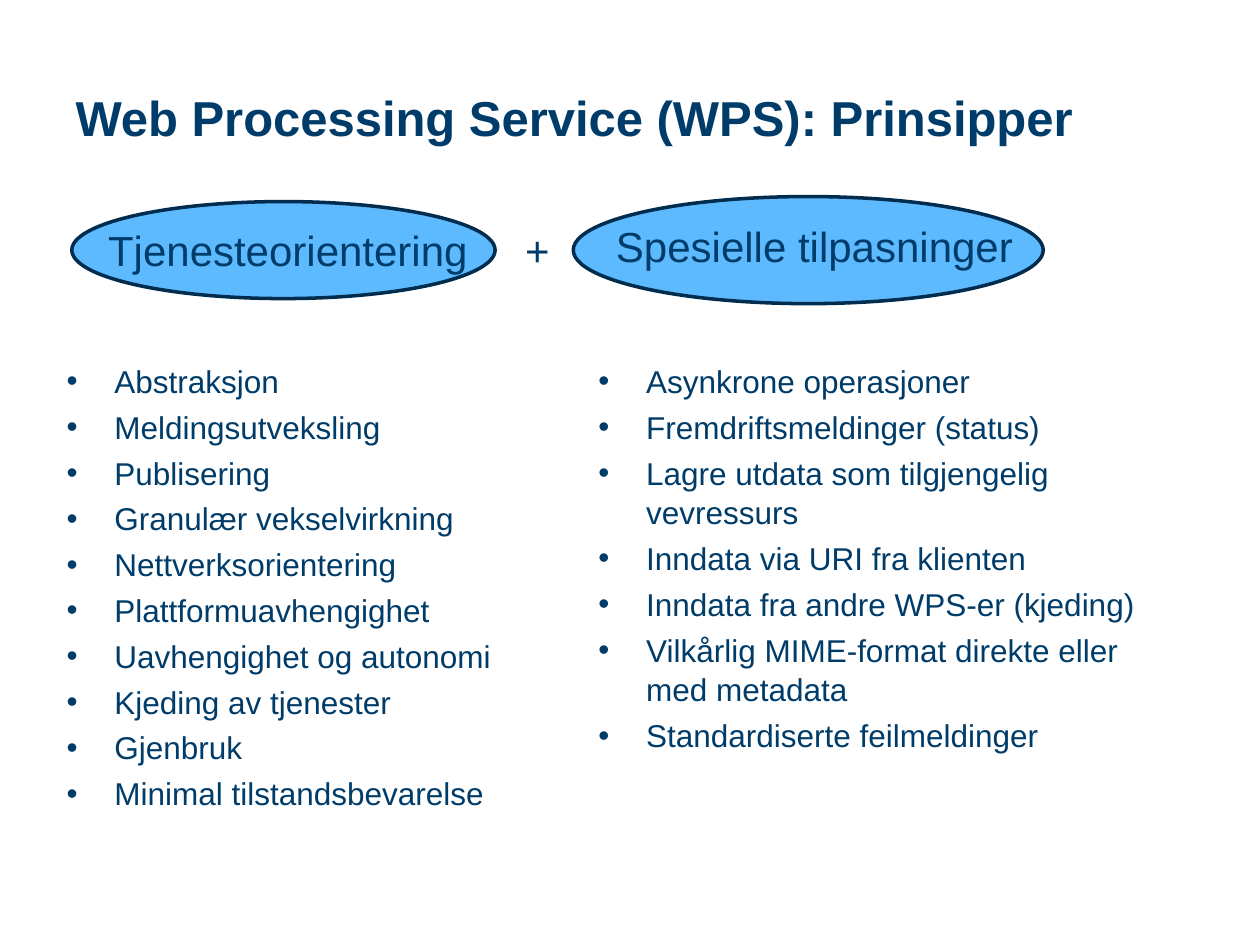
from dataclasses import dataclass

from lxml import etree
from pptx import Presentation
from pptx.dml.color import RGBColor
from pptx.enum.shapes import MSO_SHAPE
from pptx.enum.text import MSO_ANCHOR, MSO_AUTO_SIZE, PP_ALIGN
from pptx.oxml.ns import qn
from pptx.util import Inches, Pt

OVAL = MSO_SHAPE.OVAL
MIDDLE = MSO_ANCHOR.MIDDLE
LEFT = PP_ALIGN.LEFT
GROW, FIXED = MSO_AUTO_SIZE.SHAPE_TO_FIT_TEXT, MSO_AUTO_SIZE.NONE

FONT = "Arial"
COLORS = {"text": "003C69", "fill": "5DBAFF", "edge": "002C4E"}
INDENT = Inches(0.38)


@dataclass
class Box:
    left: float
    top: float
    width: float
    height: float

    def lengths(self) -> tuple:
        return tuple(map(Inches, (self.left, self.top, self.width, self.height)))


@dataclass
class Label:
    text: str
    box: Box
    wrap: bool = False


@dataclass
class Column:
    box: Box
    items: list[str]


OVALS = [Box(4.55, 1.56, 3.73, 0.85), Box(0.57, 1.6, 3.36, 0.77)]

LABELS = [
    Label("Tjenesteorientering", Box(0.76, 1.73, 3.07, 0.5), True),
    Label("+", Box(4.07, 1.73, 0.4, 0.5)),
    Label("Spesielle tilpasninger", Box(4.79, 1.7, 3.39, 0.46)),
]

COLUMNS = [
    Column(Box(0.43, 2.81, 4.04, 3.78), [
        "Abstraksjon",
        "Meldingsutveksling",
        "Publisering",
        "Granulær vekselvirkning",
        "Nettverksorientering",
        "Plattformuavhengighet",
        "Uavhengighet og autonomi",
        "Kjeding av tjenester",
        "Gjenbruk",
        "Minimal tilstandsbevarelse",
    ]),
    Column(Box(4.65, 2.81, 4.68, 3.62), [
        "Asynkrone operasjoner",
        "Fremdriftsmeldinger (status)",
        "Lagre utdata som tilgjengelig vevressurs",
        "Inndata via URI fra klienten",
        "Inndata fra andre WPS-er (kjeding)",
        "Vilkårlig MIME-format direkte eller med metadata",
        "Standardiserte feilmeldinger",
    ]),
]


def color(name: str) -> RGBColor:
    return RGBColor.from_string(COLORS[name])


def add_run(para, text: str, size: int, bold: bool = False) -> None:
    run = para.add_run()
    run.text = text
    font = run.font
    font.name, font.size, font.bold = FONT, Pt(size), bold
    font.color.rgb = color("text")


def set_title(slide, text: str, box: Box) -> None:
    title = slide.shapes.title
    title.left, title.top, title.width, title.height = box.lengths()
    frame = title.text_frame
    frame.auto_size = FIXED
    frame.vertical_anchor = MIDDLE
    para = frame.paragraphs[0]
    para.alignment = LEFT
    add_run(para, text, 28, True)


def add_oval(slide, box: Box) -> None:
    oval = slide.shapes.add_shape(OVAL, *box.lengths())
    oval.shadow.inherit = False
    oval.fill.solid()
    oval.fill.fore_color.rgb = color("fill")
    oval.line.color.rgb = color("edge")
    oval.line.width = Pt(2)


def add_label(slide, label: Label) -> None:
    frame = slide.shapes.add_textbox(*label.box.lengths()).text_frame
    frame.word_wrap = label.wrap
    frame.auto_size = GROW
    add_run(frame.paragraphs[0], label.text, 24)


def add_bullet(para) -> None:
    props = para._p.get_or_add_pPr()
    props.set("marL", str(INDENT))
    props.set("indent", str(-INDENT))
    etree.SubElement(props, qn("a:buFont"), typeface=FONT)
    etree.SubElement(props, qn("a:buChar"), char="•")


def add_column(slide, column: Column) -> None:
    frame = slide.shapes.add_textbox(*column.box.lengths()).text_frame
    frame.word_wrap = True
    for i, item in enumerate(column.items):
        para = frame.add_paragraph() if i else frame.paragraphs[0]
        add_bullet(para)
        para.line_spacing = 1.05
        if i:
            para.space_before = Pt(3.5)
        add_run(para, item, 18)


def main() -> None:
    deck = Presentation()
    deck.slide_width, deck.slide_height = Inches(10), Inches(7.5)
    slide = deck.slides.add_slide(deck.slide_layouts[5])

    # Heading
    set_title(slide, "Web Processing Service (WPS): Prinsipper",
              Box(0.5, 0.3, 9, 1.25))

    # The two principles and the plus between them
    for box in OVALS:
        add_oval(slide, box)
    for label in LABELS:
        add_label(slide, label)

    # Bullet lists under each principle
    for column in COLUMNS:
        add_column(slide, column)

    deck.save("out.pptx")


if __name__ == "__main__":
    main()
